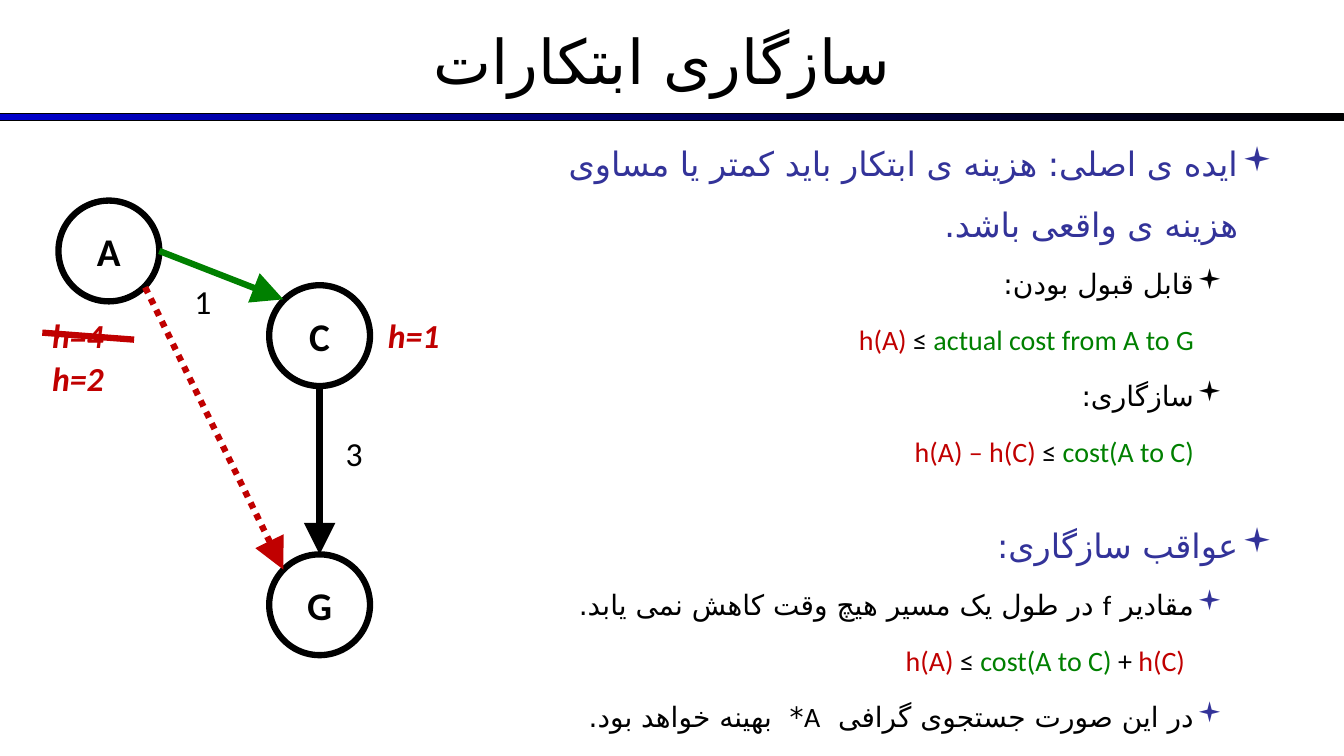
from lxml import etree
from pptx import Presentation
from pptx import util as u
from pptx.dml.color import RGBColor
from pptx.enum import shapes, text
from pptx.oxml import ns

BLACK = RGBColor(0, 0, 0)
WHITE = RGBColor(255, 255, 255)
RED = RGBColor(0xC0, 0, 0)
GREEN = RGBColor(0, 0x80, 0)
BLUE = RGBColor(0, 0, 0xCC)
NAVY = RGBColor(0x33, 0x33, 0x99)
FACE = "Calibri"
SCRIPT = "DejaVu Sans"
LINE = u.Pt(4.5)

# level: (margin, hang, text size)
LEVELS = [(0.37, 0.37, 24), (0.81, 0.31, 20)]

# (level, bullet colour or None, space before, runs)
POINTS = [
    (0, NAVY, 0, [("ایده ی اصلی: هزینه ی ابتکار باید کمتر یا مساوی هزینه ی واقعی باشد.", NAVY)]),
    (1, BLACK, 4, [("قابل قبول بودن:", BLACK)]),
    (1, None, 4, [("h(A) ", RED), ("≤ ", BLACK), ("actual cost from A to G", GREEN)]),
    (1, BLACK, 4, [("سازگاری:", BLACK)]),
    (1, None, 4, [("h(A) – h(C) ", RED), ("≤ ", BLACK), ("cost(A to C)", GREEN)]),
    (0, NAVY, 26, [("عواقب سازگاری:", NAVY)]),
    (1, NAVY, 4, [("مقادیر f در طول یک مسیر هیچ وقت کاهش نمی یابد.", BLACK)]),
    (1, None, 4, [(" h(A) ", RED), ("≤ ", BLACK), ("cost(A to C) ", GREEN),
                  ("+ ", BLACK), ("h(C)", RED)]),
    (1, NAVY, 4, [("در این صورت جستجوی گرافی  A*  بهینه خواهد بود.", BLACK)]),
]

NODES = [("A", 0.58, 1.99), ("C", 2.67, 2.83), ("G", 2.67, 5.5)]
COSTS = [("1", 1.83, 2.74), ("3", 3.33, 4.25)]
GUESSES = [("h=4", 0.42, 3.08), ("h=2", 0.42, 3.5), ("h=1", 3.75, 3.08)]


def inches(*nums):
    return [u.Inches(n) for n in nums]


def add(parent, tag, **attrs):
    return etree.SubElement(parent, ns.qn(tag), attrs)


def add_run(para, words, color, size, **form):
    run = para.add_run()
    run.text = words
    form.update(name=FACE, size=u.Pt(size))
    for key, value in form.items():
        setattr(run.font, key, value)
    run.font.color.rgb = color
    add(run.font._element, "a:cs", typeface=SCRIPT)


def add_box(slide, place, wrap=True):
    frame = slide.shapes.add_textbox(*inches(*place)).text_frame
    frame.word_wrap = wrap
    return frame


def add_label(slide, words, left, top, width, color, **form):
    frame = add_box(slide, (left, top, width, 0.5), wrap=False)
    add_run(frame.paragraphs[0], words, color, 24, **form)


def add_title(slide):
    frame = add_box(slide, (0, -0.03, 13.33, 1.25))
    frame.vertical_anchor = text.MSO_ANCHOR.MIDDLE
    para = frame.paragraphs[0]
    para.alignment = text.PP_ALIGN.CENTER
    add_run(para, "سازگاری ابتکارات ", BLACK, 44)


def add_rule(slide):
    bar = slide.shapes.add_shape(shapes.MSO_SHAPE.RECTANGLE, *inches(0, 1.13, 13.33, 0.07))
    bar.shadow.inherit = False
    bar.fill.gradient()
    bar.fill.gradient_angle = 0
    for stop, color in zip(bar.fill.gradient_stops, (BLUE, BLACK)):
        stop.color.rgb = color
    bar.line.color.rgb = BLACK
    bar.line.width = u.Pt(0.75)


def add_points(slide):
    """Write the right-to-left bullet list."""
    frame = add_box(slide, (5.17, 1.17, 7.58, 6.25))
    for i, (level, mark, before, runs) in enumerate(POINTS):
        para = frame.add_paragraph() if i else frame.paragraphs[0]
        margin, hang, size = LEVELS[level]
        form = {"level": level, "alignment": text.PP_ALIGN.RIGHT,
                "line_spacing": 1.5, "space_before": u.Pt(before)}
        for key, value in form.items():
            setattr(para, key, value)
        props = para._p.get_or_add_pPr()
        indent = -u.Inches(hang) if mark is not None else 0
        attrs = {"marL": u.Inches(margin), "indent": indent, "rtl": 1}
        for key, value in attrs.items():
            props.set(key, str(int(value)))
        if mark is None:
            add(props, "a:buNone")
        else:
            add(add(props, "a:buClr"), "a:srgbClr", val=str(mark))
            add(props, "a:buFont", typeface="Wingdings")
            add(props, "a:buChar", char="▪")
        for words, color in runs:
            add_run(para, words, color, size)


def add_node(slide, name, left, top):
    node = slide.shapes.add_shape(shapes.MSO_SHAPE.OVAL, *inches(left, top, 1, 1))
    node.shadow.inherit = False
    node.fill.solid()
    node.fill.fore_color.rgb = WHITE
    node.line.color.rgb = BLACK
    node.line.width = LINE
    para = node.text_frame.paragraphs[0]
    para.alignment = text.PP_ALIGN.CENTER
    add_run(para, name, BLACK, 28, bold=True)


def add_line(slide, ends, color, head=True, dash=None):
    line = slide.shapes.add_connector(shapes.MSO_CONNECTOR.STRAIGHT, *inches(*ends))
    line.line.color.rgb = color
    line.line.width = LINE
    stroke = line.line._get_or_add_ln()
    if dash:
        add(stroke, "a:prstDash", val=dash)
    if head:
        add(stroke, "a:tailEnd", type="triangle", w="lg", len="lg")
    add(line._element.spPr, "a:effectLst")


def main():
    deck = Presentation()
    deck.slide_width, deck.slide_height = inches(13.33, 7.5)
    slide = deck.slides.add_slide(deck.slide_layouts[6])
    add_rule(slide)
    add_title(slide)
    add_points(slide)
    add_line(slide, (3.17, 3.83, 3.17, 5.5), BLACK)
    for node in NODES:
        add_node(slide, *node)
    for cost in COSTS:
        add_label(slide, *cost, 0.37, BLACK)
    for guess in GUESSES:
        add_label(slide, *guess, 0.8, RED, bold=True, italic=True)
    add_line(slide, (1.44, 2.85, 2.81, 5.65), RED, dash="sysDot")
    add_line(slide, (1.58, 2.49, 2.81, 2.97), GREEN)
    add_line(slide, (0.42, 3.3, 1.33, 3.37), RED, head=False)
    deck.save("out.pptx")


if __name__ == "__main__":
    main()
